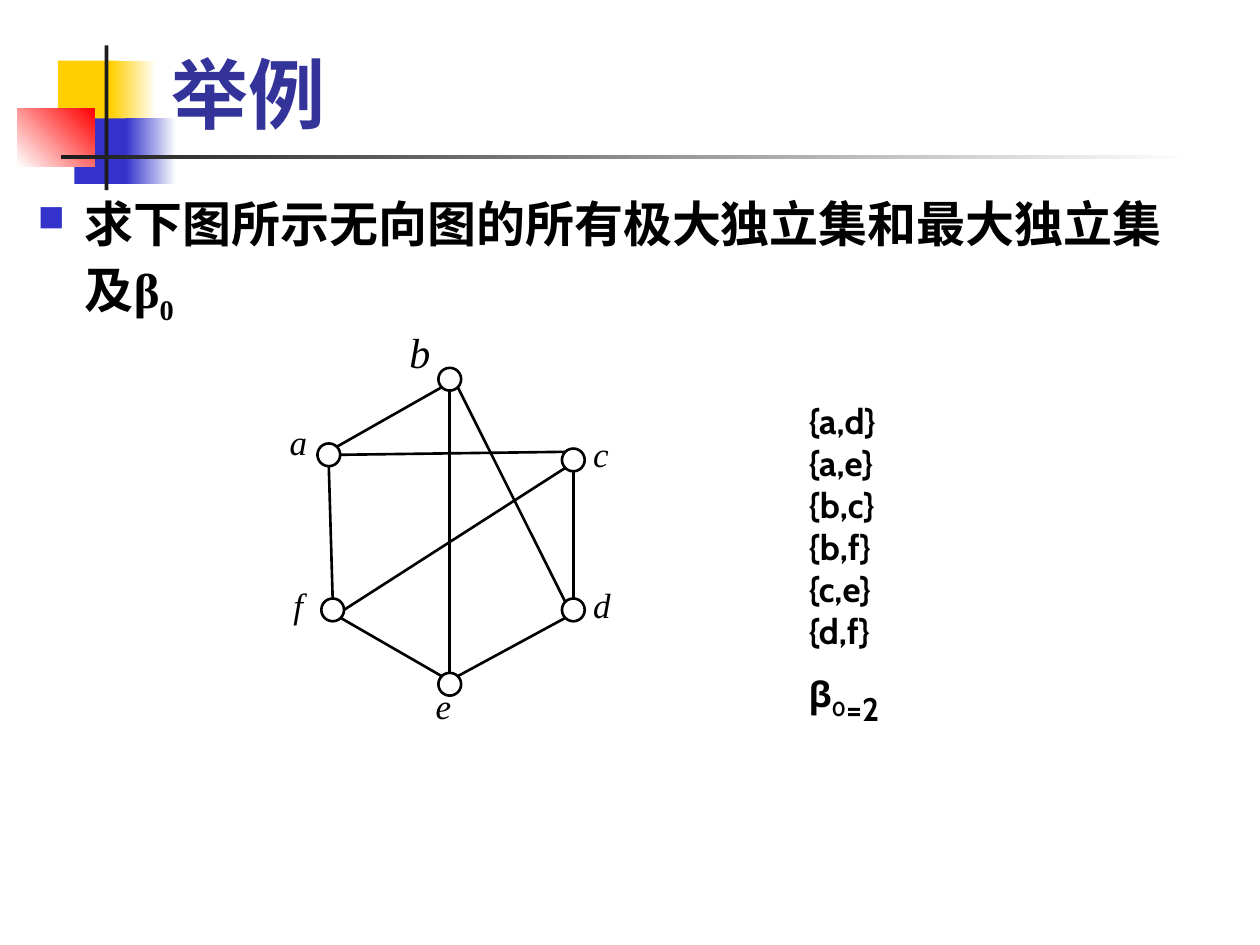
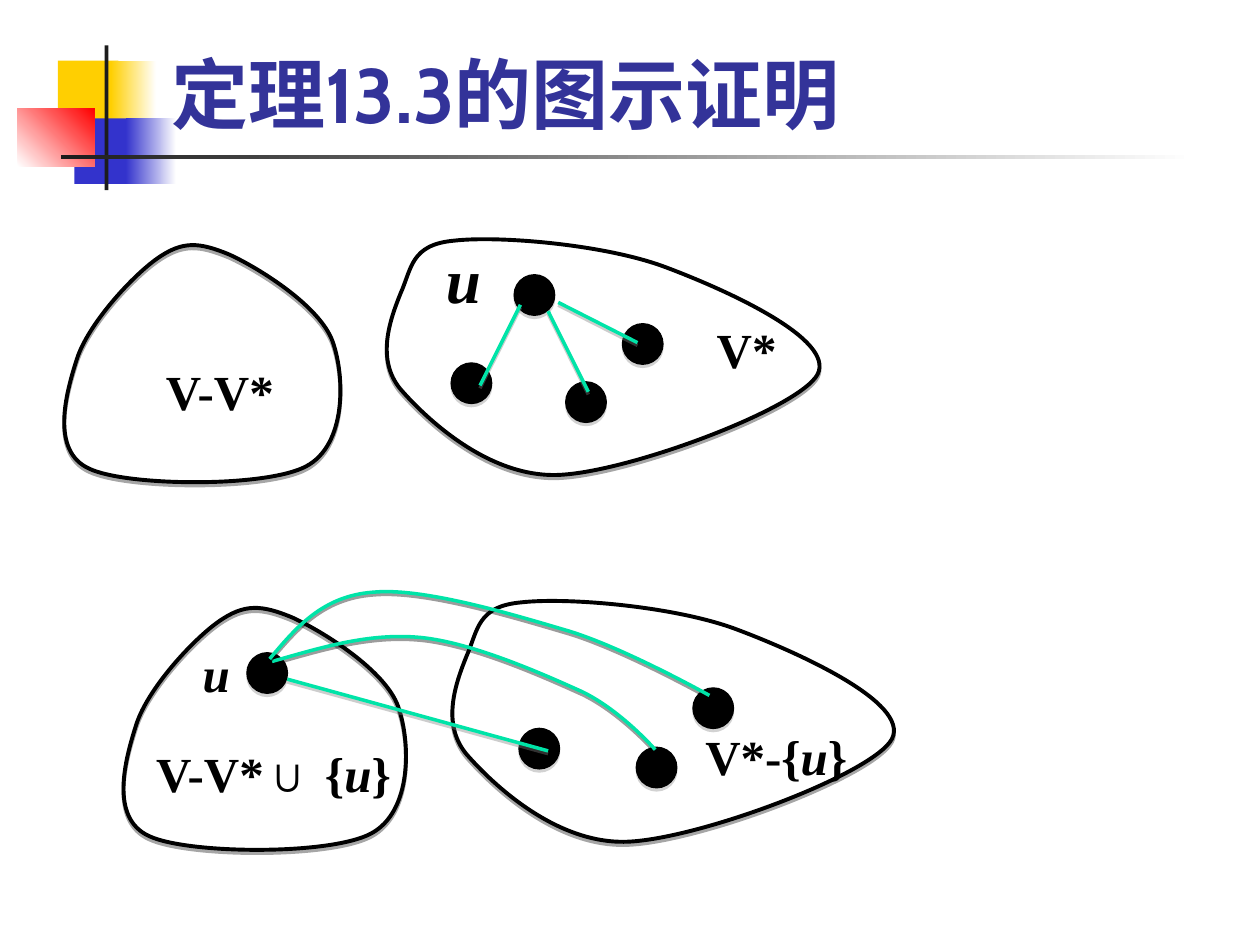
"""Build two graph theory slides: independent sets and a proof by drawing."""
from dataclasses import dataclass, field
from typing import Any

from lxml import etree
from pptx import Presentation
from pptx import util as u
from pptx.dml import color
from pptx.enum import shapes, text
from pptx.oxml import ns

COLOURS = {
    "paper": "FFFFFF", "ink": "000000", "title": "333399", "yellow": "FFCF01",
    "blue": "3333CC", "red": "FF0000", "rule": "1C1C1C", "edge": "00E4A8", "shade": "808080",
}
SERIF, SANS = "Times New Roman", "Cabin"
NODE_SIZE, DOT_SIZE = 13, 23.2
DIAGONAL = 0.71
COMPASS = {
    "N": (0, -1), "S": (0, 1), "E": (1, 0),
    "NE": (DIAGONAL, -DIAGONAL), "NW": (-DIAGONAL, -DIAGONAL),
    "SE": (DIAGONAL, DIAGONAL), "SW": (-DIAGONAL, DIAGONAL),
}
TITLE = {"name": SANS, "size": u.Pt(44), "bold": True}
BODY = {"name": SERIF, "size": u.Pt(28), "bold": True}
VARIABLE = BODY | {"italic": True}
SETS = {"name": SANS, "size": u.Pt(20), "bold": True}


@dataclass(frozen=True)
class Box:
    left: float
    top: float
    width: float
    height: float

    def lengths(self) -> list[u.Length]:
        return [u.Pt(v) for v in (self.left, self.top, self.width, self.height)]


@dataclass(frozen=True)
class Band:
    box: Box
    start: str
    end: str = ""
    angle: float = 0


@dataclass(frozen=True)
class Piece:
    words: str
    formats: dict[str, Any] = field(default_factory=dict)
    subscript: bool = False


@dataclass(frozen=True)
class Node:
    name: str
    x: float
    y: float
    label: Box
    size: float = 20


@dataclass(frozen=True)
class Edge:
    first: str
    first_side: str
    second: str
    second_side: str


@dataclass(frozen=True)
class Outline:
    width: int
    height: int
    start: tuple[int, int]
    curves: list[tuple[int, ...]]
    closed: bool = True


@dataclass(frozen=True)
class Region:
    outline: Outline
    box: Box
    line: str
    weight: float
    fill: str = ""
    alpha: int = 35
    distance: float = 1.8


@dataclass(frozen=True)
class Stage:
    regions: list[Region]
    labels: list[tuple[Box, list[Piece]]]
    dots: list[tuple[float, float]]
    links: list[tuple[float, float, float, float]]
    arcs: list[Region]


BANDS = [
    Band(Box(33.1, 34.6, 34.6, 37.4), "yellow"),
    Band(Box(63.4, 34.6, 25.9, 37.4), "yellow", "paper"),
    Band(Box(42.5, 67.7, 33.1, 37.4), "blue"),
    Band(Box(72, 67.7, 28.8, 37.4), "blue", "paper"),
    Band(Box(10.1, 61.9, 43.9, 33.1), "paper", "red", 45),
    Band(Box(59.8, 25.9, 2.2, 82.8), "rule"),
    Band(Box(34.6, 88.6, 648, 2.2), "rule", "paper"),
]
NODES = [
    Node("a", 187.9, 259.9, Box(158.4, 236.9, 28.1, 35.3)),
    Node("b", 257, 216.7, Box(226.8, 182.9, 30.2, 41), 24),
    Node("c", 327.6, 262.8, Box(331.9, 243.4, 26.6, 36)),
    Node("d", 327.6, 348.5, Box(331.9, 329.8, 28.1, 36)),
    Node("e", 257, 391, Box(241.9, 387.4, 26.6, 36)),
    Node("f", 190.1, 348.5, Box(160.6, 329.8, 23, 36)),
]
EDGES = [
    Edge("a", "S", "f", "N"), Edge("a", "NE", "b", "SW"), Edge("b", "SE", "d", "NW"),
    Edge("c", "S", "d", "N"), Edge("f", "SE", "e", "NW"), Edge("e", "NE", "d", "SW"),
    Edge("b", "S", "e", "N"), Edge("f", "E", "c", "SW"), Edge("a", "E", "c", "NW"),
]
MAXIMAL_SETS = ["{a,d}", "{a,e}", "{b,c}", "{b,f}", "{c,e}", "{d,f}"]

REST = Outline(219, 188, (74, 11), [
    (54, 25, 19, 63, 10, 91), (1, 119, -11, 164, 20, 178), (50, 192, 160, 193, 192, 176),
    (224, 159, 223, 105, 213, 77), (203, 49, 155, 19, 131, 8), (107, -2, 94, -3, 74, 11)])
STAR = Outline(343, 186, (54, 0), [
    (89, -4, 173, 3, 221, 21), (269, 39, 356, 78, 342, 106), (328, 133, 192, 184, 136, 186),
    (81, 188, 32, 142, 11, 118), (-9, 94, 3, 62, 11, 42), (20, 22, 19, 3, 54, 0)])
LOW_ARC = Outline(303, 90, (0, 20), [
    (39, 9, 77, -3, 118, 1), (159, 5, 215, 30, 246, 44), (277, 59, 304, 90, 304, 90)], False)
HIGH_ARC = Outline(349, 82, (0, 54), [
    (21, 29, 42, 4, 82, 1), (122, -3, 194, 19, 238, 32), (283, 46, 349, 83, 349, 83)], False)

BEFORE = Stage(
    [Region(REST, Box(36.7, 139.7, 157.7, 135.4), "ink", 2.25),
     Region(STAR, Box(221, 137.5, 247, 133.9), "ink", 2.25, "paper")],
    [(Box(87.8, 203, 91.4, 68.4), [Piece("V-V*", BODY)]),
     (Box(402.5, 179.3, 88.6, 46.1), [Piece("V*", BODY)]),
     (Box(247.7, 133.9, 51.8, 46.1), [Piece("u", VARIABLE | {"size": u.Pt(36)})])],
    [(293.8, 157), (257.8, 207.4), (323.3, 218.2), (355.7, 185)],
    [(297.4, 174.2, 274.3, 220.3), (319, 172.8, 364.3, 195.8), (313.2, 177.8, 336.2, 223.9)],
    [])
AFTER = Stage(
    [Region(REST, Box(70.6, 347, 161.3, 138.2), "ink", 2.25),
     Region(STAR, Box(258.5, 344.2, 252, 136.8), "ink", 2.25, "paper")],
    [(Box(82.1, 421.2, 158.4, 70.6),
      [Piece("V-V*∪ {", BODY), Piece("u", VARIABLE), Piece("}", BODY)]),
     (Box(396, 411.8, 117.4, 46.8),
      [Piece("V*-{", BODY), Piece("u", VARIABLE), Piece("}", BODY)]),
     (Box(108.7, 364.3, 53.3, 46.8), [Piece("u", VARIABLE)])],
    [(141.1, 373), (296.6, 416.2), (363.6, 427), (396, 393.1)],
    [(164.2, 388.1, 313.2, 429.1)],
    [Region(LOW_ARC, Box(155.5, 363.6, 218.2, 64.8), "edge", 2, alpha=38, distance=1.6),
     Region(HIGH_ARC, Box(154.1, 337.7, 251.3, 59), "edge", 2, alpha=38, distance=1.6)])


def rgb(name: str) -> color.RGBColor:
    return color.RGBColor.from_string(COLOURS[name])


def apply(target: Any, formats: dict[str, Any]) -> None:
    for attribute, value in formats.items():
        setattr(target, attribute, value)


def child(parent: Any, tag: str, **attributes: Any) -> Any:
    return etree.SubElement(parent, ns.qn(tag), {k: str(v) for k, v in attributes.items()})


def add_shadow(effects: Any, name: str, alpha: int, distance: float) -> None:
    shadow = child(effects, "a:outerShdw", blurRad=0, dist=int(u.Pt(distance)),
                   dir=5400000, algn="ctr", rotWithShape=0)
    child(child(shadow, "a:srgbClr", val=COLOURS[name]), "a:alpha", val=alpha * 1000)


def paint(part: Any, fill: str, line: str = "", weight: float = 0) -> Any:
    part.shadow.inherit = False
    if fill:
        part.fill.solid()
        part.fill.fore_color.rgb = rgb(fill)
    else:
        part.fill.background()
    if line:
        part.line.color.rgb = rgb(line)
        part.line.width = u.Pt(weight)
    else:
        part.line.fill.background()
    return part.element.spPr.find(ns.qn("a:effectLst"))


def draw_band(slide: Any, band: Band) -> None:
    part = slide.shapes.add_shape(shapes.MSO_SHAPE.RECTANGLE, *band.box.lengths())
    paint(part, band.start)
    if band.end:
        part.fill.gradient()
        part.fill.gradient_angle = band.angle
        for stop, name in zip(part.fill.gradient_stops, (band.start, band.end)):
            stop.color.rgb = rgb(name)


def draw_text(slide: Any, box: Box, lines: list[list[Piece]], tint: str = "ink") -> Any:
    frame = slide.shapes.add_textbox(*box.lengths()).text_frame
    frame.word_wrap = True
    for index, pieces in enumerate(lines):
        paragraph = frame.add_paragraph() if index else frame.paragraphs[0]
        for piece in pieces:
            run = paragraph.add_run()
            run.text = piece.words
            apply(run.font, piece.formats)
            run.font.color.rgb = rgb(tint)
            if piece.subscript:
                run._r.get_or_add_rPr().set("baseline", "-25000")
    return frame


def draw_line(slide: Any, ends: tuple[float, ...], tint: str, weight: float) -> Any:
    link = slide.shapes.add_connector(shapes.MSO_CONNECTOR.STRAIGHT, *map(u.Pt, ends))
    link.line.color.rgb = rgb(tint)
    link.line.width = u.Pt(weight)
    return child(link._element.spPr, "a:effectLst")


def draw_circle(slide: Any, left: float, top: float, size: float,
                fill: str, weight: float) -> Any:
    circle = slide.shapes.add_shape(shapes.MSO_SHAPE.OVAL, *Box(left, top, size, size).lengths())
    return paint(circle, fill, "ink", weight)


def draw_region(slide: Any, region: Region) -> None:
    left, top, width, height = region.box.lengths()
    builder = slide.shapes.build_freeform(left, top)
    builder.add_line_segments([(left + width, top + height)], close=False)
    part = builder.convert_to_shape()
    outline = region.outline
    route = part._element.spPr.find(".//" + ns.qn("a:path"))
    for step in list(route):
        route.remove(step)
    apply(route, {"w": outline.width, "h": outline.height})
    child(child(route, "a:moveTo"), "a:pt", x=outline.start[0], y=outline.start[1])
    for curve in outline.curves:
        bend = child(route, "a:cubicBezTo")
        for x, y in zip(curve[::2], curve[1::2]):
            child(bend, "a:pt", x=x, y=y)
    if outline.closed:
        child(route, "a:close")
    effects = paint(part, region.fill, region.line, region.weight)
    add_shadow(effects, "ink", region.alpha, region.distance)


def start_slide(deck: Any, heading: str) -> Any:
    slide = deck.slides.add_slide(deck.slide_layouts[6])
    for band in BANDS:
        draw_band(slide, band)
    frame = draw_text(slide, Box(90.7, 5.8, 613.4, 77), [[Piece(heading, TITLE)]], "title")
    frame.vertical_anchor = text.MSO_ANCHOR.BOTTOM
    properties = frame.paragraphs[0].runs[0]._r.get_or_add_rPr()
    effects = child(properties, "a:effectLst")
    add_shadow(effects, "ink", 100, 2)
    properties.find(ns.qn("a:solidFill")).addnext(effects)
    return slide


def draw_example(deck: Any) -> None:
    slide = start_slide(deck, "举例")
    for node in NODES:
        draw_circle(slide, node.x - NODE_SIZE / 2, node.y - NODE_SIZE / 2, NODE_SIZE, "", 1.5)
        style = {"name": SERIF, "size": u.Pt(node.size), "italic": True}
        draw_text(slide, node.label, [[Piece(node.name, style)]])
    places = {node.name: node for node in NODES}
    for edge in EDGES:
        ends: list[float] = []
        for name, side in ((edge.first, edge.first_side), (edge.second, edge.second_side)):
            dx, dy = COMPASS[side]
            ends += [places[name].x + dx * NODE_SIZE / 2, places[name].y + dy * NODE_SIZE / 2]
        draw_line(slide, tuple(ends), "ink", 1.5)
    question = [Piece("求下图所示无向图的所有极大独立集和最大独立集及β", BODY), Piece("0", BODY, True)]
    paragraph = draw_text(slide, Box(14.4, 103.7, 668.9, 71.3), [question]).paragraphs[0]
    bullet = paragraph._p.get_or_add_pPr()
    bullet.set("marL", str(u.Pt(27)))
    bullet.set("indent", str(u.Pt(-27)))
    child(child(bullet, "a:buClr"), "a:srgbClr", val=COLOURS["blue"])
    child(bullet, "a:buSzPct", val=75000)
    child(bullet, "a:buChar", char="■")
    paragraph.line_spacing = 1.1
    answer = [Piece("β", SETS), Piece("0", SETS, True),
              Piece("=2", SETS | {"size": u.Pt(32)}, True)]
    draw_text(slide, Box(455, 224.6, 69.8, 177.8),
              [[Piece(words, SETS)] for words in MAXIMAL_SETS] + [answer])


def draw_proof(deck: Any) -> None:
    slide = start_slide(deck, "定理13.3的图示证明")
    for stage in (BEFORE, AFTER):
        for region in stage.regions:
            draw_region(slide, region)
        for box, pieces in stage.labels:
            draw_text(slide, box, [pieces])
        for left, top in stage.dots:
            add_shadow(draw_circle(slide, left, top, DOT_SIZE, "ink", 0.75), "shade", 35, 1.8)
        for ends in stage.links:
            add_shadow(draw_line(slide, ends, "edge", 2), "shade", 38, 1.6)
        for arc in stage.arcs:
            draw_region(slide, arc)


def main() -> None:
    deck = Presentation()
    apply(deck, {"slide_width": u.Pt(720), "slide_height": u.Pt(540)})
    draw_example(deck)
    draw_proof(deck)
    deck.save("out.pptx")


if __name__ == "__main__":
    main()
